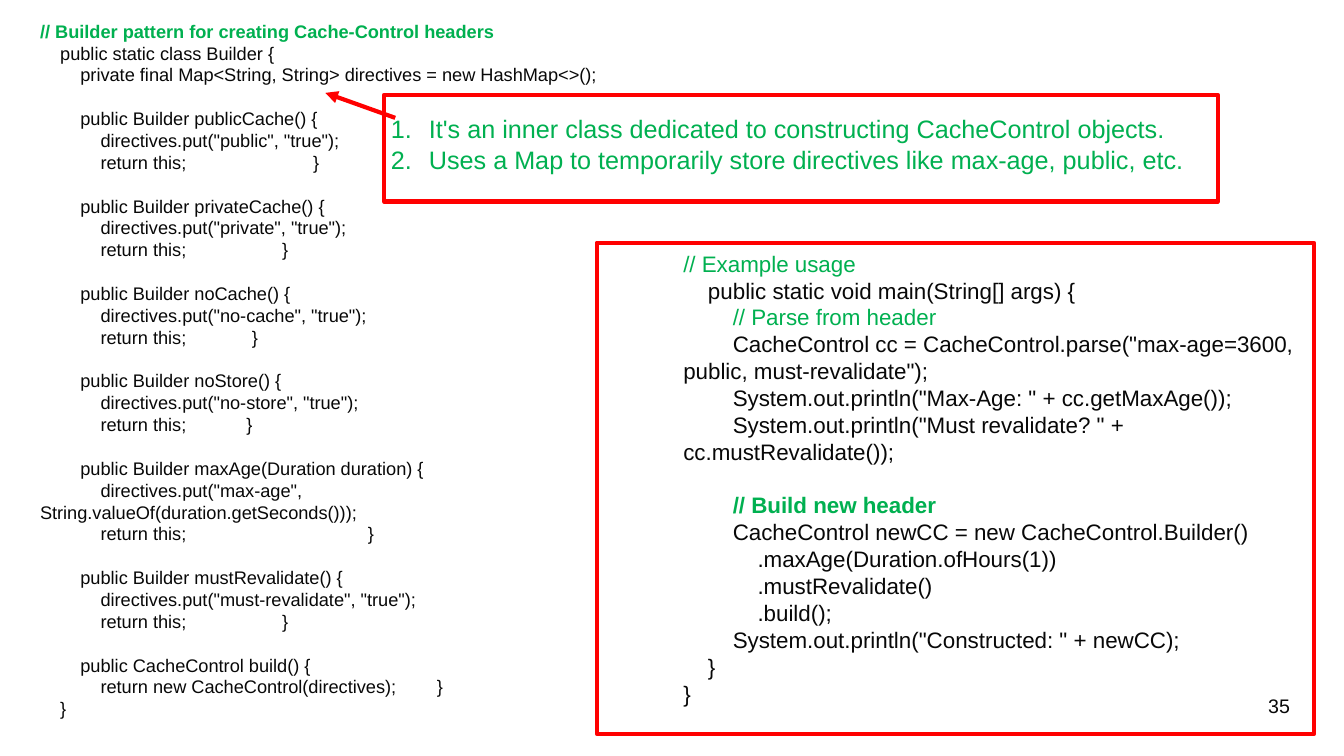
from dataclasses import dataclass

from lxml.etree import SubElement
from pptx import Presentation
from pptx.dml.color import RGBColor
from pptx.enum.shapes import MSO_CONNECTOR, MSO_SHAPE
from pptx.enum.text import MSO_AUTO_SIZE, PP_ALIGN
from pptx.oxml.ns import qn
from pptx.util import Cm, Pt


@dataclass(frozen=True)
class Theme:
    font: str = "Arial"
    ink: RGBColor = RGBColor(0x08, 0x08, 0x08)
    green: RGBColor = RGBColor(0x00, 0xB0, 0x50)
    red: RGBColor = RGBColor(0xFF, 0x00, 0x00)
    builder_size: int = 13
    number_size: int = 14
    usage_size: int = 16
    note_size: int = 18
    line_height: float = 1.2
    outline: int = 3


THEME = Theme()

BUILDER_HEAD = [
    "// Builder pattern for creating Cache-Control headers",
    "    public static class Builder {",
    "        private final Map<String, String> directives = new HashMap<>();",
]
BUILDER_METHODS = [
    ("Builder publicCache()", ['directives.put("public", "true");', "return this;"], 6.88),
    ("Builder privateCache()", ['directives.put("private", "true");', "return this;"], 6.1),
    ("Builder noCache()", ['directives.put("no-cache", "true");', "return this;"], 5.34),
    ("Builder noStore()", ['directives.put("no-store", "true");', "return this;"], 5.2),
    ("Builder maxAge(Duration duration)",
     ['directives.put("max-age", String.valueOf(duration.getSeconds()));', "return this;"], 8.26),
    ("Builder mustRevalidate()",
     ['directives.put("must-revalidate", "true");', "return this;"], 6.1),
    ("CacheControl build()", ["return new CacheControl(directives);"], 10),
]
USAGE_PARSING = [
    "// Example usage",
    "    public static void main(String[] args) {",
    "        // Parse from header",
    '        CacheControl cc = CacheControl.parse("max-age=3600, public, must-revalidate");',
    '        System.out.println("Max-Age: " + cc.getMaxAge());',
    '        System.out.println("Must revalidate? " + cc.mustRevalidate());',
]
USAGE_BUILDING = [
    "        // Build new header",
    "        CacheControl newCC = new CacheControl.Builder()",
    "            .maxAge(Duration.ofHours(1))",
    "            .mustRevalidate()",
    "            .build();",
    '        System.out.println("Constructed: " + newCC);',
    "    }",
    "}",
]
BUILDER_NOTES = [
    "It's an inner class dedicated to constructing CacheControl objects.",
    "Uses a Map to temporarily store directives like max-age, public, etc.",
]


def add_text_frame(slide, left, top, width, height):
    frame = slide.shapes.add_textbox(Cm(left), Cm(top), Cm(width), Cm(height)).text_frame
    frame.word_wrap = True
    frame.auto_size = MSO_AUTO_SIZE.NONE
    return frame


def next_paragraph(frame):
    first = frame.paragraphs[0]
    return frame.add_paragraph() if first.runs else first


def style(paragraph, size, color, bold=False):
    font = paragraph.font
    font.name, font.size, font.bold = THEME.font, Pt(size), bold
    font.color.rgb = color


def add_code_line(frame, line, size, bold=False, gap=False, brace_at=None):
    paragraph = next_paragraph(frame)
    paragraph.add_run().text = line
    if gap:
        paragraph.space_before = Pt(size * THEME.line_height)
    if brace_at:
        stops = SubElement(paragraph._p.get_or_add_pPr(), qn("a:tabLst"))
        SubElement(stops, qn("a:tab"), pos=str(Cm(brace_at)), algn="l")
    is_comment = line.lstrip().startswith("//")
    style(paragraph, size, THEME.green if is_comment else THEME.ink, bold)


def add_builder_code(slide):
    frame = add_text_frame(slide, 0.76, 0.38, 14.88, 18.03)
    size = THEME.builder_size
    for index, line in enumerate(BUILDER_HEAD):
        add_code_line(frame, line, size, bold=index == 0)
    for signature, statements, brace_at in BUILDER_METHODS:
        add_code_line(frame, f"        public {signature} {{", size, gap=True)
        for statement in statements[:-1]:
            add_code_line(frame, f"            {statement}", size)
        add_code_line(frame, f"            {statements[-1]}\t}}", size, brace_at=brace_at)
    add_code_line(frame, "    }", size)


def add_usage_code(slide):
    frame = add_text_frame(slide, 16.97, 6.17, 16.15, 11.89)
    for line in USAGE_PARSING:
        add_code_line(frame, line, THEME.usage_size)
    for index, line in enumerate(USAGE_BUILDING):
        add_code_line(frame, line, THEME.usage_size, bold=index == 0, gap=index == 0)


def add_notes_list(slide):
    frame = add_text_frame(slide, 9.6, 2.74, 20.75, 1.8)
    for note in BUILDER_NOTES:
        paragraph = next_paragraph(frame)
        paragraph.add_run().text = note
        properties = paragraph._p.get_or_add_pPr()
        properties.set("marL", str(Cm(0.96)))
        properties.set("indent", str(-Cm(0.96)))
        SubElement(properties, qn("a:buFont"), typeface=THEME.font)
        SubElement(properties, qn("a:buAutoNum"), type="arabicPeriod")
        style(paragraph, THEME.note_size, THEME.green)


def add_slide_number(slide, number):
    paragraph = add_text_frame(slide, 24.28, 17.35, 8.48, 1.32).paragraphs[0]
    paragraph.add_run().text = number
    paragraph.alignment = PP_ALIGN.RIGHT
    style(paragraph, THEME.number_size, THEME.ink)


def draw_red(line):
    line.color.rgb = THEME.red
    line.width = Pt(THEME.outline)


def add_frame(slide, left, top, width, height):
    border = slide.shapes.add_shape(
        MSO_SHAPE.RECTANGLE, Cm(left), Cm(top), Cm(width), Cm(height))
    border.shadow.inherit = False
    border.fill.background()
    draw_red(border.line)


def add_arrow(slide, x1, y1, x2, y2):
    arrow = slide.shapes.add_connector(
        MSO_CONNECTOR.STRAIGHT, Cm(x1), Cm(y1), Cm(x2), Cm(y2))
    draw_red(arrow.line)
    SubElement(arrow.line._get_or_add_ln(), qn("a:tailEnd"), type="triangle")
    SubElement(arrow._element.spPr, qn("a:effectLst"))


def main():
    deck = Presentation()
    deck.slide_width, deck.slide_height = Cm(33.87), Cm(19.05)
    slide = deck.slides.add_slide(deck.slide_layouts[6])
    add_slide_number(slide, "35")
    add_builder_code(slide)
    add_usage_code(slide)
    add_notes_list(slide)
    add_arrow(slide, 9.96, 2.97, 8.2, 2.34)
    add_frame(slide, 9.68, 2.39, 21.01, 2.69)
    add_frame(slide, 15.04, 6.12, 18.08, 12.37)
    deck.save("out.pptx")


if __name__ == "__main__":
    main()
